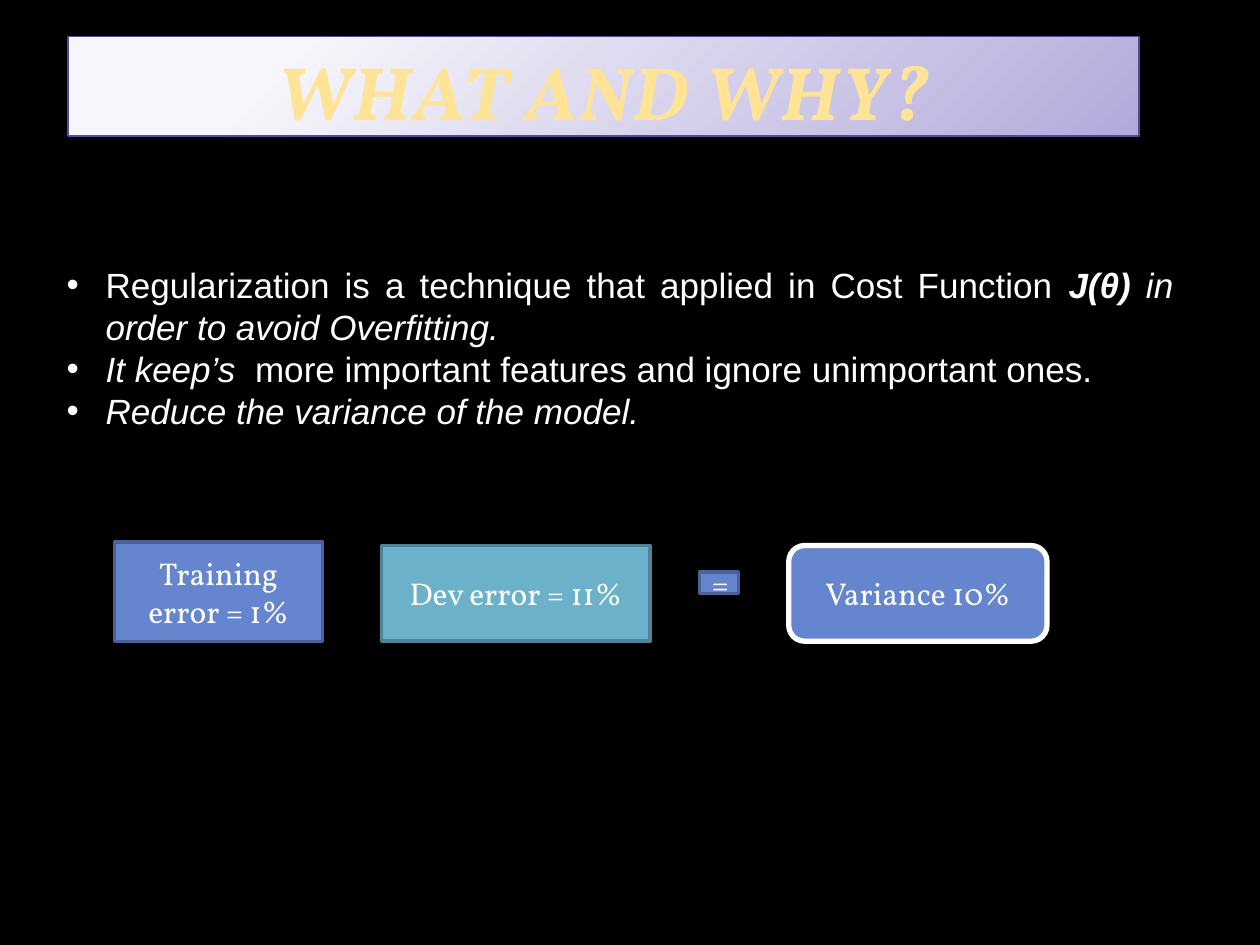
from dataclasses import dataclass

from lxml.etree import SubElement
from pptx import Presentation
from pptx.dml.color import RGBColor as RGB
from pptx.enum.shapes import MSO_SHAPE as Shape
from pptx.enum.text import MSO_ANCHOR as Anchor, PP_ALIGN as Align
from pptx.oxml.ns import qn
from pptx.util import Inches, Pt


@dataclass(frozen=True)
class Theme:
    """Colours, fonts and type sizes of the slide."""
    black: str = "000000"
    white: str = "FFFFFF"
    gold: str = "FFE397"
    pale: str = "F7F6FB"
    lilac: str = "B2AADB"
    violet: str = "5A4A96"
    blue: str = "6585CF"
    navy: str = "4B6299"
    teal: str = "6BB1C9"
    slate: str = "4F8395"
    serif: str = "Vollkorn"
    sans: str = "Arial"
    head: float = 43.2
    body: float = 20
    label: float = 18


THEME = Theme()


def style(run, face, size, tint, bold=False, italic=False):
    """Set the font of one run."""
    font = run.font
    font.name, font.size = face, Pt(size)
    font.bold, font.italic = bold, italic
    font.color.rgb = RGB.from_string(tint)


def add_box(slide, box, kind, edge, width):
    """Add a shape without a shadow, with the given outline."""
    shape = slide.shapes.add_shape(kind, *map(Inches, box))
    shape.shadow.inherit = False
    shape.line.color.rgb = RGB.from_string(edge)
    shape.line.width = Pt(width)
    return shape


def add_glow(shape, tints):
    """Fill a shape with a round gradient from its top left corner."""
    fill = shape.fill
    fill.gradient()
    for stop, tint, place in zip(fill.gradient_stops, tints, (0.2, 1)):
        stop.color.rgb = RGB.from_string(tint)
        stop.position = place
    grad = shape._element.spPr.find(qn("a:gradFill"))
    grad.remove(grad.find(qn("a:lin")))
    ring = SubElement(grad, qn("a:path"), {"path": "circle"})
    SubElement(ring, qn("a:fillToRect"),
               {"l": "-15000", "t": "-15000", "r": "115000", "b": "115000"})


def add_title(slide, box, text):
    """Add the title banner."""
    shape = add_box(slide, box, Shape.RECTANGLE, THEME.violet, 0.75)
    add_glow(shape, (THEME.pale, THEME.lilac))
    frame = shape.text_frame
    frame.text = text
    frame.word_wrap = True
    frame.vertical_anchor = Anchor.BOTTOM
    frame.margin_left = frame.margin_right = Inches(0.05)
    frame.margin_top = frame.margin_bottom = 0
    para = frame.paragraphs[0]
    para.alignment = Align.CENTER
    run = para.runs[0]
    style(run, THEME.serif, THEME.head, THEME.gold, True, True)
    run._r.get_or_add_rPr().set("spc", "100")


def add_points(slide, box, points):
    """Add the bulleted text, each point a list of (text, bold, italic)."""
    frame = slide.shapes.add_textbox(*map(Inches, box)).text_frame
    frame.word_wrap = True
    for index, parts in enumerate(points):
        para = frame.add_paragraph() if index else frame.paragraphs[0]
        para.alignment = Align.JUSTIFY
        props = para._p.get_or_add_pPr()
        props.set("marL", str(Inches(0.31)))
        props.set("indent", str(Inches(-0.31)))
        SubElement(props, qn("a:buFont"), {"typeface": THEME.sans})
        SubElement(props, qn("a:buChar"), {"char": "•"})
        for text, bold, italic in parts:
            run = para.add_run()
            run.text = text
            style(run, THEME.sans, THEME.body, THEME.white, bold, italic)


def add_label(slide, box, text, fill, edge, kind=Shape.RECTANGLE, width=2):
    """Add one filled box with a centred label."""
    shape = add_box(slide, box, kind, edge, width)
    shape.fill.solid()
    shape.fill.fore_color.rgb = RGB.from_string(fill)
    frame = shape.text_frame
    frame.text = text
    frame.word_wrap = True
    frame.vertical_anchor = Anchor.MIDDLE
    para = frame.paragraphs[0]
    para.alignment = Align.CENTER
    style(para.runs[0], THEME.serif, THEME.label, THEME.white)


def add_sum(slide, box):
    """Add the row of error boxes that gives the variance."""
    left, top, width, height = box
    low, tall = top + 0.03, height - 0.03
    add_label(slide, (left, top, 1.65, height), "Training error = 1%",
              THEME.blue, THEME.navy)
    add_label(slide, (left + 2.12, low, 2.13, tall), "Dev error = 11%",
              THEME.teal, THEME.slate)
    add_label(slide, (left + width - 2.05, low, 2.05, tall), "Variance 10%",
              THEME.blue, THEME.white, Shape.ROUNDED_RECTANGLE, 3)
    add_label(slide, (left + 4.64, top + 0.24, 0.31, 0.17), "=",
              THEME.blue, THEME.navy)


def main():
    """Build the slide and save it."""
    deck = Presentation()
    deck.slide_width, deck.slide_height = Inches(10), Inches(7.5)
    slide = deck.slides.add_slide(deck.slide_layouts[6])
    back = slide.background.fill
    back.solid()
    back.fore_color.rgb = RGB.from_string(THEME.black)
    add_title(slide, (0.54, 0.29, 8.5, 0.79), "WHAT AND WHY?")
    add_points(slide, (0.43, 2.04, 8.98, 1.75), [
        [("Regularization is a technique that applied in Cost Function ",
          False, False),
         ("J(θ)", True, True),
         (" in order to avoid Overfitting.", False, True)],
        [("It keep’s  ", False, True),
         ("more important features and ignore unimportant ones.",
          False, False)],
        [("Reduce the variance of the model.", False, True)],
    ])
    add_sum(slide, (0.91, 4.3, 7.4, 0.79))
    deck.save("out.pptx")


if __name__ == "__main__":
    main()
